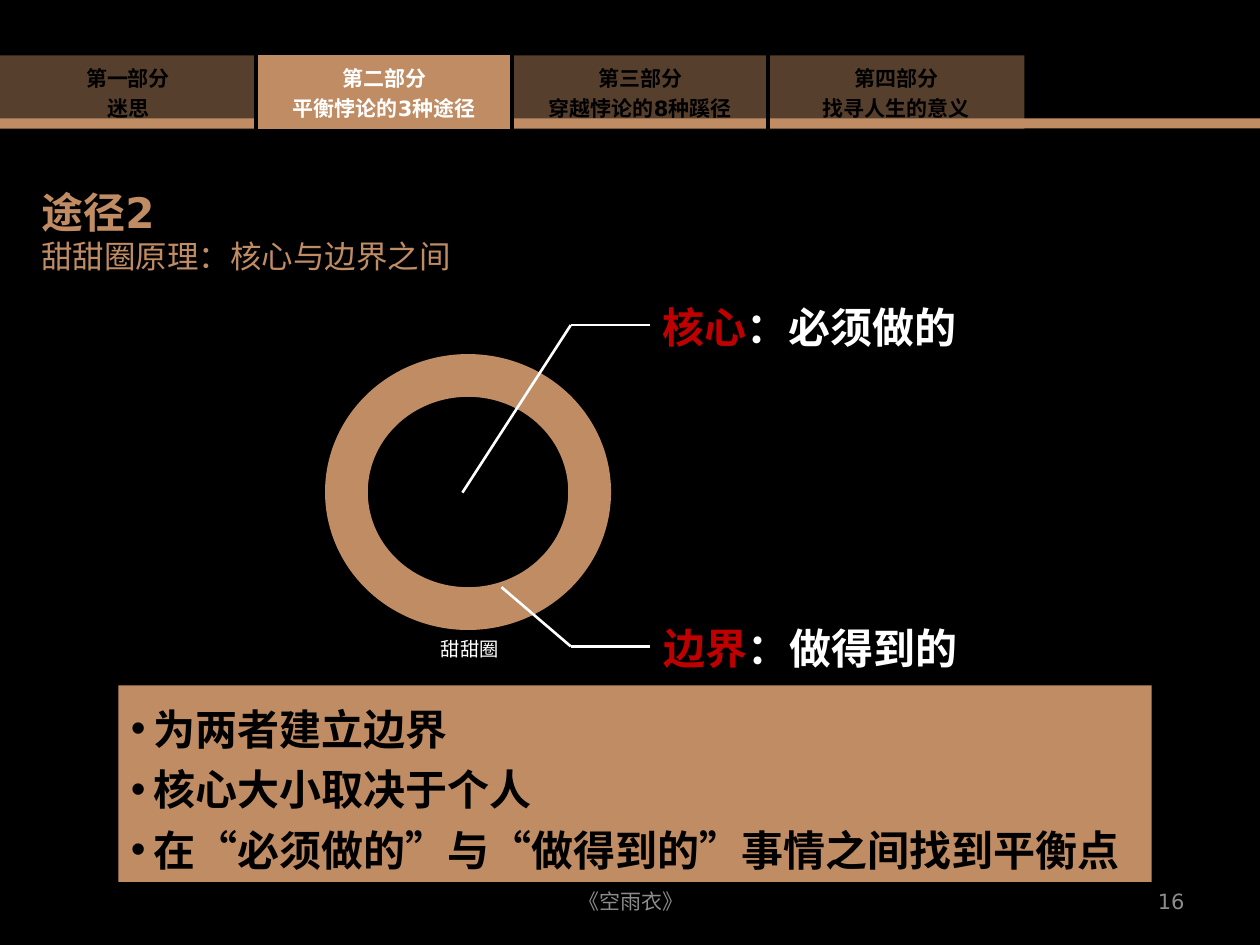
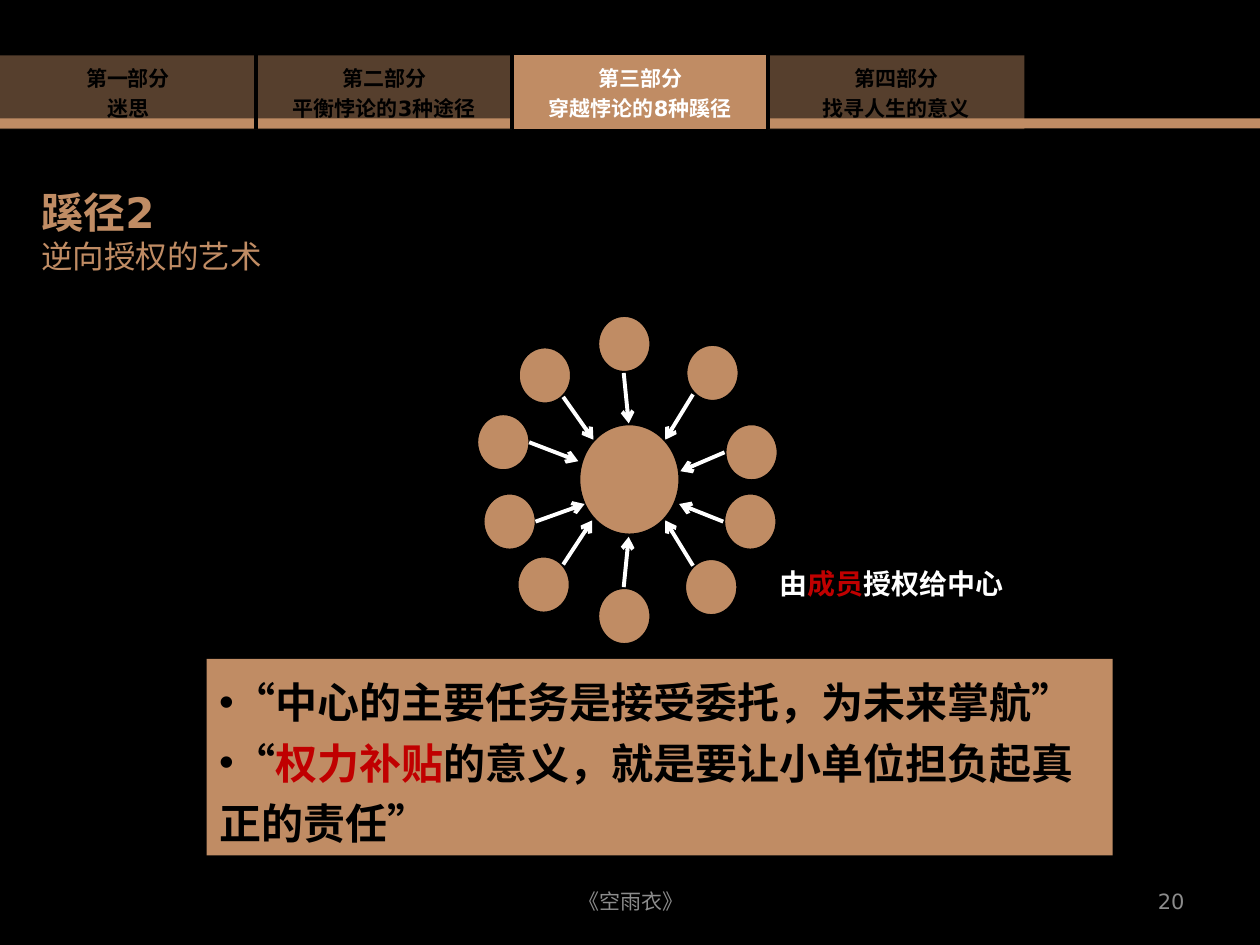
from dataclasses import dataclass

from lxml import etree
from pptx import Presentation
from pptx.dml.color import RGBColor
from pptx.enum.shapes import MSO_CONNECTOR, MSO_SHAPE
from pptx.enum.text import MSO_ANCHOR, PP_ALIGN
from pptx.oxml.ns import qn
from pptx.util import Inches, Pt

RECT, OVAL, DONUT = MSO_SHAPE.RECTANGLE, MSO_SHAPE.OVAL, MSO_SHAPE.DONUT
STRAIGHT = MSO_CONNECTOR.STRAIGHT
LEFT, CENTER, RIGHT = PP_ALIGN.LEFT, PP_ALIGN.CENTER, PP_ALIGN.RIGHT
TOP, MIDDLE = MSO_ANCHOR.TOP, MSO_ANCHOR.MIDDLE


@dataclass(frozen=True)
class Theme:
    bg: str = "000000"
    tan: str = "C08C64"
    white: str = "FFFFFF"
    red: str = "C00000"
    grey: str = "8C8C8C"
    latin: str = "DejaVu Sans"
    cjk: str = "Noto Sans CJK SC"
    big: float = 24
    sub: float = 18
    note: float = 16
    small: float = 12
    caption: float = 11
    thin: float = 1.5
    thick: float = 2.25
    faded: int = 45


T = Theme()

TABS = [
    ("第一部分", "迷思"),
    ("第二部分", "平衡悖论的3种途径"),
    ("第三部分", "穿越悖论的8种蹊径"),
    ("第四部分", "找寻人生的意义"),
]
FOOTER = "《空雨衣》"

DONUT_SLIDE = {
    "tab": 1, "number": 16,
    "title": "途径2", "subtitle": "甜甜圈原理：核心与边界之间",
    "donut": (2.58, 2.81, 2.27, 2.19),
    "caption": ("甜甜圈", (3.4, 5.01, 0.66, 0.29)),
    "labels": [
        ("核心", "：必须做的", (5.16, 2.34, 3.05, 0.5),
         [(3.67, 3.91), (4.53, 2.58), (5.16, 2.58)]),
        ("边界", "：做得到的", (5.17, 4.89, 2.74, 0.5),
         [(3.98, 4.66), (4.53, 5.13), (5.16, 5.13)]),
    ],
    "points_box": (0.94, 5.44, 8.2, 1.56), "hang": 0.18,
    "points": [
        [("为两者建立边界", T.bg)],
        [("核心大小取决于个人", T.bg)],
        [("在“必须做的”与“做得到的”事情之间找到平衡点", T.bg)],
    ],
}

HUB_SLIDE = {
    "tab": 2, "number": 20,
    "title": "蹊径2", "subtitle": "逆向授权的艺术",
    "hub": (4.59, 3.36, 0.81, 0.89),
    "member_size": (0.43, 0.46),
    "members": [
        ((5.75, 3.36), (5.75, 3.59), (5.4, 3.74)),
        ((3.78, 3.28), (4.2, 3.51), (4.59, 3.66)),
        ((4.11, 2.75), (4.47, 3.15), (4.71, 3.49)),
        ((4.74, 2.5), (4.95, 2.96), (4.99, 3.36)),
        ((5.44, 2.73), (5.5, 3.13), (5.28, 3.49)),
        ((4.1, 4.41), (4.47, 4.48), (4.7, 4.13)),
        ((4.74, 4.66), (4.95, 4.66), (4.99, 4.26)),
        ((5.43, 4.43), (5.5, 4.49), (5.28, 4.13)),
        ((5.74, 3.91), (5.74, 4.14), (5.39, 4.0)),
        ((3.83, 3.91), (4.25, 4.14), (4.64, 4.0)),
    ],
    "note": ([("由", T.white), ("成员", T.red), ("授权给中心", T.white)],
             (6.09, 4.45, 2.11, 0.37)),
    "points_box": (1.64, 5.23, 7.19, 1.56), "hang": 0,
    "points": [
        [("“中心的主要任务是接受委托，为未来掌航”", T.bg)],
        [("“", T.bg), ("权力补贴", T.red),
         ("的意义，就是要让小单位担负起真正的责任”", T.bg)],
    ],
}


def rgb(color):
    return RGBColor.from_string(color)


def inches(values):
    return [Inches(v) for v in values]


def write(p, runs, size, bold=False, latin=T.latin, align=LEFT):
    p.alignment = align
    for text, color in runs:
        r = p.add_run()
        r.text = text
        for key, value in {"size": Pt(size), "bold": bold, "name": latin}.items():
            setattr(r.font, key, value)
        r.font.color.rgb = rgb(color)
        rPr = r.font._element
        rPr.set("lang", "zh-CN")
        rPr.find(qn("a:latin")).addnext(rPr.makeelement(qn("a:ea"), {"typeface": T.cjk}))


def add_text(s, box, paragraphs, anchor=TOP, wrap=True):
    tf = s.shapes.add_textbox(*inches(box)).text_frame
    tf.word_wrap = wrap
    tf.vertical_anchor = anchor
    for i, fmt in enumerate(paragraphs):
        write(tf.add_paragraph() if i else tf.paragraphs[0], **fmt)


def add_shape(s, kind, box, outline=False):
    sp = s.shapes.add_shape(kind, *inches(box))
    sp.shadow.inherit = False
    sp.fill.solid()
    sp.fill.fore_color.rgb = rgb(T.tan)
    if outline:
        sp.line.color.rgb = rgb(T.bg)
        sp.line.width = Pt(T.thick)
    else:
        sp.line.fill.background()
    return sp


def add_line(s, start, end, width, arrow=False):
    cx = s.shapes.add_connector(STRAIGHT, *inches(start + end))
    cx.line.color.rgb = rgb(T.white)
    cx.line.width = Pt(width)
    if arrow:
        etree.SubElement(cx.line._get_or_add_ln(), qn("a:tailEnd"), type="arrow")
    etree.SubElement(cx._element.spPr, qn("a:effectLst"))


def set_borders(cell, first, last):
    tcPr = cell._tc.get_or_add_tcPr()
    visible = {"a:lnL": not first, "a:lnR": not last, "a:lnT": False, "a:lnB": False}
    for i, (tag, shown) in enumerate(visible.items()):
        ln = tcPr.makeelement(qn(tag), {"w": str(Pt(T.thick))})
        tcPr.insert(i, ln)
        if shown:
            fill = etree.SubElement(ln, qn("a:solidFill"))
            etree.SubElement(fill, qn("a:srgbClr"), val=T.bg)
        else:
            etree.SubElement(ln, qn("a:noFill"))


def add_tabs(s, active):
    table = s.shapes.add_table(1, len(TABS), *inches((0, 0.44, 8.13, 0.5))).table
    table.first_row = table.horz_banding = False
    for i, lines in enumerate(TABS):
        cell = table.cell(0, i)
        cell.vertical_anchor = MIDDLE
        cell.fill.solid()
        cell.fill.fore_color.rgb = rgb(T.tan)
        if i != active:
            clr = cell._tc.tcPr.find(".//" + qn("a:srgbClr"))
            etree.SubElement(clr, qn("a:alpha"), val=str(T.faded * 1000))
        set_borders(cell, i == 0, i == len(TABS) - 1)
        tf = cell.text_frame
        for j, line in enumerate(lines):
            p = tf.add_paragraph() if j else tf.paragraphs[0]
            write(p, [(line, T.white if i == active else T.bg)], T.small, True, align=CENTER)


def add_points(s, data):
    sp = add_shape(s, RECT, data["points_box"])
    tf = sp.text_frame
    tf.word_wrap = True
    tf.vertical_anchor = MIDDLE
    hang = Inches(data["hang"])
    for i, runs in enumerate(data["points"]):
        p = tf.add_paragraph() if i else tf.paragraphs[0]
        p.line_spacing = 1.2
        pPr = p._p.get_or_add_pPr()
        pPr.set("marL", str(hang))
        pPr.set("indent", str(-hang))
        etree.SubElement(pPr, qn("a:buFont"), typeface="Arial")
        etree.SubElement(pPr, qn("a:buChar"), char="•")
        write(p, runs, T.big, True, T.cjk)


def add_base(prs, data):
    s = prs.slides.add_slide(prs.slide_layouts[6])
    s.background.fill.solid()
    s.background.fill.fore_color.rgb = rgb(T.bg)
    add_shape(s, RECT, (0, 0.94, 10, 0.08))
    add_tabs(s, data["tab"])
    add_text(s, (0.23, 1.43, 4.06, 0.91), [
        {"runs": [(data["title"], T.tan)], "size": T.big, "bold": True},
        {"runs": [(data["subtitle"], T.tan)], "size": T.sub},
    ])
    for text, box, align in [(FOOTER, (3.42, 6.95, 3.17, 0.4), CENTER),
                             (str(data["number"]), (7.17, 6.95, 2.33, 0.4), RIGHT)]:
        add_text(s, box, [{"runs": [(text, T.grey)], "size": T.small, "align": align}], MIDDLE)
    add_points(s, data)
    return s


def build_donut(prs, data):
    s = add_base(prs, data)
    add_shape(s, DONUT, data["donut"]).adjustments[0] = 0.155
    for key, rest, box, leader in data["labels"]:
        for start, end in zip(leader, leader[1:]):
            add_line(s, start, end, T.thin)
        add_text(s, box, [{"runs": [(key, T.red), (rest, T.white)],
                           "size": T.big, "bold": True}])
    text, box = data["caption"]
    add_text(s, box, [{"runs": [(text, T.white)], "size": T.caption}], wrap=False)


def build_hub(prs, data):
    s = add_base(prs, data)
    add_shape(s, OVAL, data["hub"], True)
    for corner, start, end in data["members"]:
        add_shape(s, OVAL, corner + data["member_size"], True)
        add_line(s, start, end, T.thick, True)
    runs, box = data["note"]
    add_text(s, box, [{"runs": runs, "size": T.note, "bold": True}])


def main():
    prs = Presentation()
    prs.slide_width, prs.slide_height = inches((10, 7.5))
    build_donut(prs, DONUT_SLIDE)
    build_hub(prs, HUB_SLIDE)
    prs.save("out.pptx")


if __name__ == "__main__":
    main()
